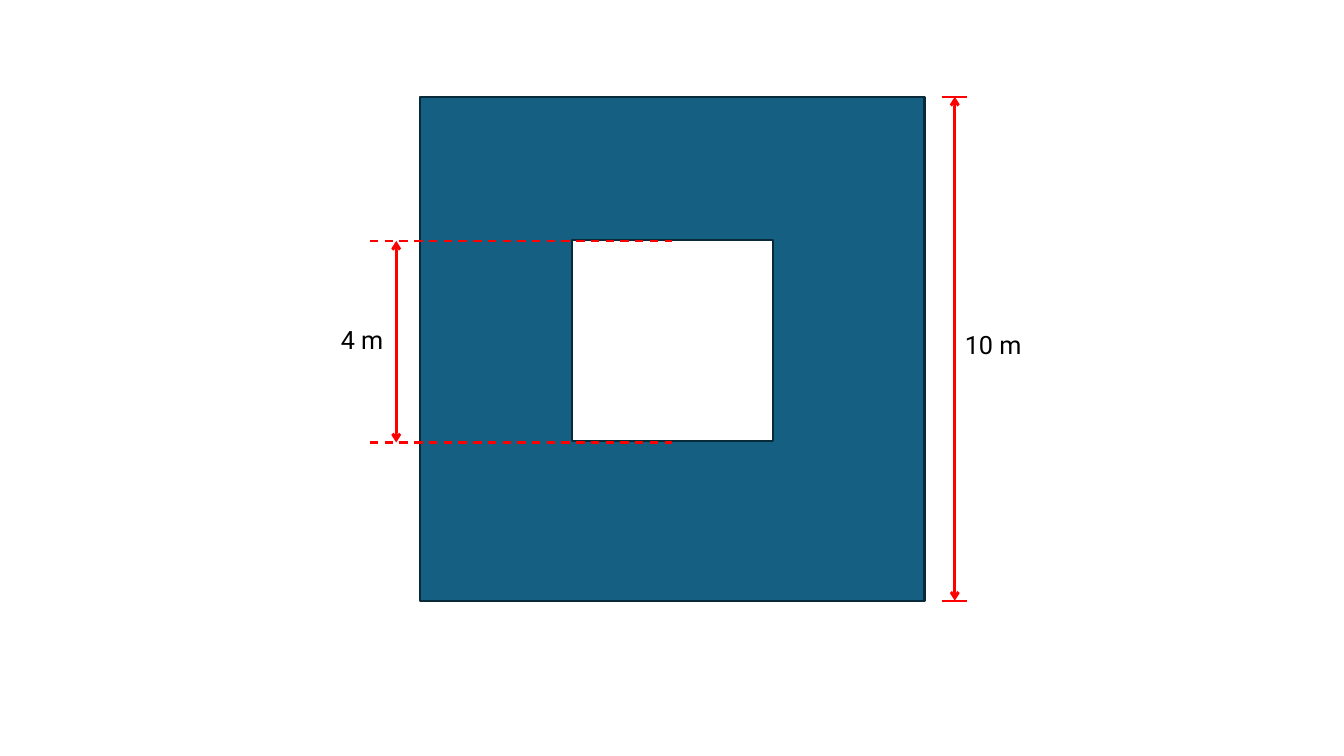
from lxml import etree
from pptx import Presentation
from pptx.dml.color import RGBColor
from pptx.enum.dml import MSO_LINE
from pptx.enum.shapes import MSO_CONNECTOR, MSO_SHAPE
from pptx.enum.text import MSO_AUTO_SIZE, PP_ALIGN
from pptx.oxml.ns import qn
from pptx.util import Inches, Pt

COLORS = {"fill": "156082", "edge": "092A39", "hole": "FFFFFF",
          "mark": "FF0000", "text": "000000"}


def color(name):
    return RGBColor.from_string(COLORS[name])


def add_square(slide, left, top, side, fill):
    square = slide.shapes.add_shape(MSO_SHAPE.RECTANGLE, Inches(left), Inches(top),
                                    Inches(side), Inches(side))
    square.shadow.inherit = False
    square.fill.solid()
    square.fill.fore_color.rgb = color(fill)
    square.line.color.rgb = color("edge")
    square.line.width = Pt(1.5)


def add_line(slide, start, end, width=1.5, dash=None, arrows=False):
    ends = [Inches(n) for n in (*start, *end)]
    line = slide.shapes.add_connector(MSO_CONNECTOR.STRAIGHT, *ends)
    line.line.color.rgb = color("mark")
    line.line.width = Pt(width)
    if dash:
        line.line.dash_style = dash
    props = line._element.spPr
    if arrows:
        for tag in ("a:headEnd", "a:tailEnd"):
            etree.SubElement(props.find(qn("a:ln")), qn(tag), type="arrow")
    etree.SubElement(props, qn("a:effectLst"))


def add_text(slide, text, left, top, width=0.85, height=0.4, size=18,
             font="Roboto", align=PP_ALIGN.LEFT):
    box = slide.shapes.add_textbox(Inches(left), Inches(top), Inches(width), Inches(height))
    frame = box.text_frame
    frame.word_wrap = True
    frame.auto_size = MSO_AUTO_SIZE.SHAPE_TO_FIT_TEXT
    para = frame.paragraphs[0]
    para.alignment = align
    run = para.add_run()
    run.text = text
    run.font.size = Pt(size)
    run.font.name = font
    run.font.color.rgb = color("text")


def add_measure(slide, left, top, span, width, axis, dash=None):
    """Mark a height with a line at each end and a double arrow at axis."""
    for y in (top, top + span):
        add_line(slide, (left, y), (left + width, y), dash=dash)
    add_line(slide, (axis, top + span), (axis, top), width=2, arrows=True)


def add_frame(slide, left, top, side):
    """Draw the square, its hole and both measures."""
    hole = 0.4 * side
    inner_x, inner_y = left + (side - hole) / 2, top + 1.42
    add_square(slide, left, top, side, "fill")
    add_square(slide, inner_x, inner_y, hole, "hole")

    axis = left + side + 0.3
    add_measure(slide, axis - 0.13, top, side, 0.25, axis)
    add_text(slide, "10 m", axis, top + 2.26)

    axis = left - 0.24
    add_measure(slide, left - 0.5, inner_y + 0.01, hole, 3, axis, dash=MSO_LINE.DASH)
    add_text(slide, "4 m", axis - 0.88, inner_y + 0.79, align=PP_ALIGN.RIGHT)


def main():
    deck = Presentation()
    deck.slide_width, deck.slide_height = Inches(13.33), Inches(7.5)
    slide = deck.slides.add_slide(deck.slide_layouts[6])
    add_frame(slide, 4.17, 0.96, 5)
    deck.save("out.pptx")


if __name__ == "__main__":
    main()
